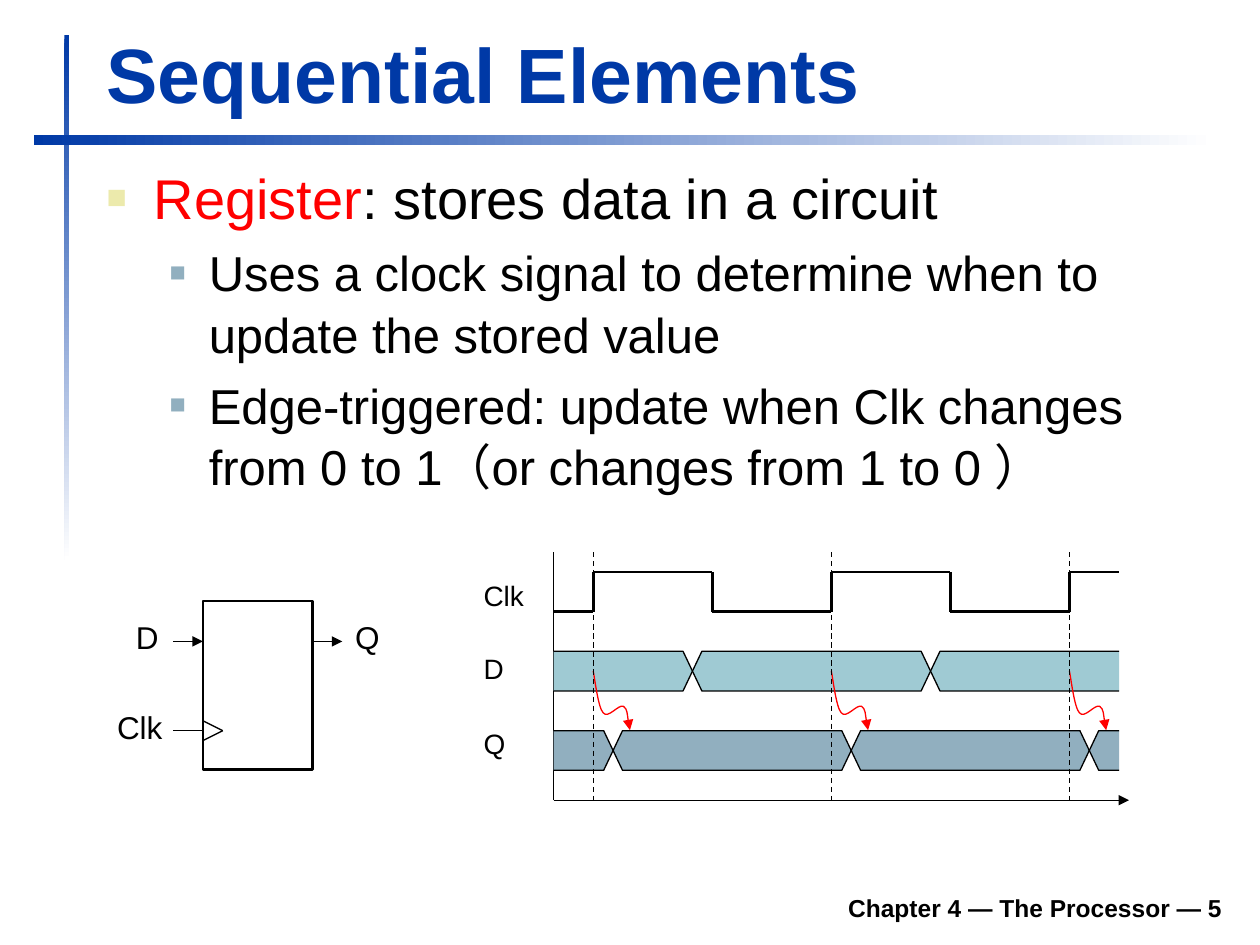
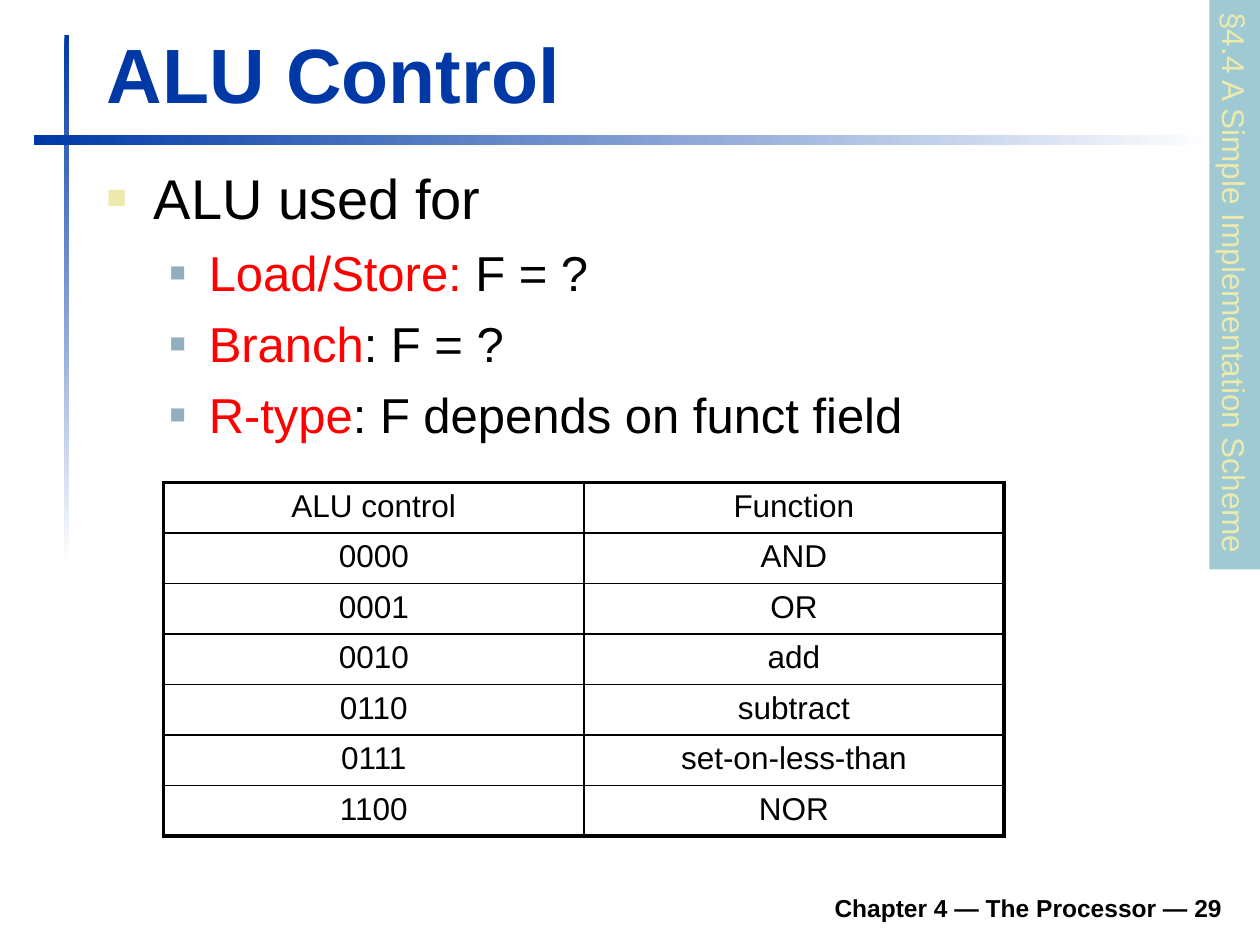
from dataclasses import dataclass
from typing import NamedTuple, Optional

from lxml import etree
from pptx import Presentation
from pptx import util as u
from pptx.dml.color import RGBColor
from pptx.enum import dml, shapes, text
from pptx.oxml import ns

Cm = u.Cm
Point = tuple[float, float]


@dataclass(frozen=True)
class Theme:
    font: str = "Arial"
    blue: str = "0039A6"
    white: str = "FFFFFF"
    black: str = "000000"
    red: str = "FF0000"
    sand: str = "ECEAAC"
    steel: str = "91AFBF"
    aqua: str = "9FCAD3"
    title: int = 44
    bullets: tuple = (32, 28)
    label: int = 18
    small: int = 16
    footer: int = 14
    thin: float = 0.75
    medium: float = 1
    thick: float = 1.5
    frame: float = 2.25


THEME = Theme()


class Box(NamedTuple):
    left: float
    top: float
    width: float
    height: float

    def emu(self) -> list:
        return [Cm(v) for v in self]


class Bullet(NamedTuple):
    level: int
    red: str
    black: str


class Level(NamedTuple):
    margin: float
    hanging: float
    color: str
    percent: int


class Label(NamedTuple):
    word: str
    box: Box
    size: int


LEVELS = (Level(0.95, 0.95, THEME.sand, 60), Level(2.06, 0.79, THEME.steel, 55))


# Drawing helpers
def rgb(color: str) -> RGBColor:
    return RGBColor.from_string(color)


def add_xml(parent, tag: str, **attributes):
    return etree.SubElement(parent, ns.qn(tag), attributes)


def style_font(font, size: int, color: str = THEME.black, bold: bool = False) -> None:
    font.name, font.size, font.bold = THEME.font, u.Pt(size), bold
    font.color.rgb = rgb(color)


def write(frame, words: str, size: int, color: str = THEME.black, bold: bool = False,
          wrap: bool = True, align=None) -> None:
    frame.text = words
    frame.word_wrap = wrap
    paragraph = frame.paragraphs[0]
    paragraph.alignment = align
    style_font(paragraph.runs[0].font, size, color, bold)


def add_text(slide, box: Box, words: str, size: int, anchor=text.MSO_ANCHOR.TOP, **style) -> None:
    frame = slide.shapes.add_textbox(*box.emu()).text_frame
    frame.vertical_anchor = anchor
    write(frame, words, size, **style)


def add_rect(slide, box: Box):
    rect = slide.shapes.add_shape(shapes.MSO_SHAPE.RECTANGLE, *box.emu())
    rect.shadow.inherit = False
    rect.line.fill.background()
    return rect


def set_line(line, width: float, color: str = THEME.black, arrow: bool = False) -> None:
    line.width = u.Pt(width)
    line.color.rgb = rgb(color)
    if arrow:
        add_xml(line._get_or_add_ln(), "a:tailEnd", type="triangle")


def add_line(slide, start: Point, end: Point, width: float = THEME.thin,
             arrow: bool = False, dashed: bool = False) -> None:
    connector = slide.shapes.add_connector(
        shapes.MSO_CONNECTOR.STRAIGHT, *(Cm(v) for v in (*start, *end)))
    if dashed:
        connector.line.dash_style = dml.MSO_LINE.DASH
    set_line(connector.line, width, arrow=arrow)
    add_xml(connector._element.spPr, "a:effectLst")


def add_outline(slide, points: list[Point], closed: bool = False, fill: Optional[str] = None):
    corners = [(Cm(x), Cm(y)) for x, y in points]
    builder = slide.shapes.build_freeform(*corners[0])
    builder.add_line_segments(corners[1:], close=closed)
    outline = builder.convert_to_shape()
    outline.shadow.inherit = False
    if fill:
        outline.fill.solid()
        outline.fill.fore_color.rgb = rgb(fill)
    else:
        outline.fill.background()
    return outline


# Shared slide parts
def add_gradient_band(slide, box: Box, angle: int) -> None:
    fill = add_rect(slide, box).fill
    fill.gradient()
    fill.gradient_angle = angle
    for stop, color in zip(fill.gradient_stops, (THEME.blue, THEME.white)):
        stop.color.rgb = rgb(color)


def add_bullets(slide, bullets: list[Bullet], height: float) -> None:
    frame = slide.shapes.add_textbox(*Box(1.9, 3.12, 22.99, height).emu()).text_frame
    frame.word_wrap = True
    for index, bullet in enumerate(bullets):
        paragraph = frame.add_paragraph() if index else frame.paragraphs[0]
        level, size = LEVELS[bullet.level], THEME.bullets[bullet.level]
        paragraph.level = bullet.level
        props = paragraph._p.get_or_add_pPr()
        props.set("marL", str(Cm(level.margin)))
        props.set("indent", str(-Cm(level.hanging)))
        add_xml(add_xml(props, "a:buClr"), "a:srgbClr", val=level.color)
        add_xml(props, "a:buSzPct", val=str(level.percent * 1000))
        add_xml(props, "a:buFont", typeface=THEME.font)
        add_xml(props, "a:buChar", char="■")
        paragraph.line_spacing = 1.04
        if index:
            paragraph.space_before = u.Pt(0.2 * size)
        for words, color in ((bullet.red, THEME.red), (bullet.black, THEME.black)):
            if words:
                run = paragraph.add_run()
                run.text = words
                style_font(run.font, size, color)


def add_slide(deck, title: str, number: int, bullets: list[Bullet], height: float):
    slide = deck.slides.add_slide(deck.slide_layouts[6])
    add_gradient_band(slide, Box(1.3, 0.71, 0.09, 10.59), 270)
    add_gradient_band(slide, Box(0.69, 2.72, 23.8, 0.2), 0)
    add_text(slide, Box(1.9, 0.41, 22.94, 2.11), title, THEME.title,
             text.MSO_ANCHOR.BOTTOM, color=THEME.blue, bold=True)
    add_bullets(slide, bullets, height)
    add_text(slide, Box(4.7, 17.73, 20.19, 0.99), f"Chapter 4 — The Processor — {number}",
             THEME.footer, text.MSO_ANCHOR.BOTTOM, bold=True, align=text.PP_ALIGN.RIGHT)
    return slide


def add_labels(slide, labels: list[Label]) -> None:
    for label in labels:
        add_text(slide, label.box, label.word, label.size, wrap=False)


# Register symbol
def draw_register(slide) -> None:
    left, right, data, clock = 4.09, 6.3, 12.93, 14.73
    body = add_rect(slide, Box(left, 12.12, right - left, 3.4))
    body.fill.background()
    set_line(body.line, THEME.thick)
    for start in (left - 0.6, right):
        add_line(slide, (start, data), (start + 0.6, data), THEME.medium, arrow=True)
    add_line(slide, (left - 0.6, clock), (left, clock))
    for offset in (-0.2, 0.2):
        add_line(slide, (left, clock + offset), (left + 0.4, clock))
    add_labels(slide, [Label("D", Box(2.49, 12.34, 0.97, 1.02), THEME.label),
                       Label("Clk", Box(2.11, 14.15, 1.42, 1.02), THEME.label),
                       Label("Q", Box(6.91, 12.34, 1.02, 1.02), THEME.label)])


# Timing diagram
START, END, TOP, AXIS = 11.16, 22.56, 11.13, 16.13
PERIOD, HALF, PULSE = 4.8, 2.4, 0.8
EDGES = [START + PULSE + PERIOD * n for n in range(3)]
D_TOP, Q_TOP = 13.13, 14.73
CURVE = [(0, 0), (0.03, 0.15), (0.1, 0.74), (0.2, 0.84), (0.3, 0.97), (0.51, 0.66),
         (0.61, 0.71), (0.69, 0.76), (0.71, 1.09), (0.74, 1.19)]


def draw_clock(slide) -> None:
    high, low = TOP + 0.4, TOP + 1.2
    wave = [(START, low)]
    for edge in EDGES:
        fall = min(edge + HALF, END)
        wave += [(edge, low), (edge, high), (fall, high)]
        if fall < END:
            wave.append((fall, low))
    for start, end in zip(wave, wave[1:]):
        add_line(slide, start, end, THEME.thick)


def draw_signal(slide, top: float, crossings: list[float], color: str) -> None:
    middle, bottom, slope = top + PULSE / 2, top + PULSE, 0.19
    stops = [START, *crossings, END]
    for left, right in zip(stops, stops[1:]):
        opens, ends = left == START, right == END
        before = [(left + slope, bottom), (left, middle), (left + slope, top)]
        after = [(right - slope, top), (right, middle), (right - slope, bottom)]
        if opens:
            points = [(left, top), *after, (left, bottom)]
        elif ends:
            points = [(right, bottom), *before, (right, top)]
        else:
            points = before + after
        value = add_outline(slide, points, closed=not (opens or ends), fill=color)
        set_line(value.line, THEME.thin)


def draw_update_arrow(slide, edge: float) -> None:
    arrow = add_outline(slide, [(edge + x, D_TOP + PULSE / 2 + y) for x, y in CURVE])
    set_line(arrow.line, THEME.thin, THEME.red, arrow=True)
    # Every three straight segments become one Bézier segment
    segments = arrow._element.findall(".//" + ns.qn("a:lnTo"))
    for first in range(0, len(segments), 3):
        bezier = add_xml(segments[first].getparent(), "a:cubicBezTo")
        for segment in segments[first:first + 3]:
            bezier.append(segment[0])
            segment.getparent().remove(segment)


def draw_timing(slide) -> None:
    draw_clock(slide)
    add_line(slide, (START, AXIS), (END + 0.2, AXIS), arrow=True)
    add_line(slide, (START, AXIS), (START, TOP))
    add_labels(slide, [Label("Clk", Box(9.5, 11.53, 1.32, 0.94), THEME.small),
                       Label("D", Box(9.5, 13, 0.91, 0.94), THEME.small),
                       Label("Q", Box(9.5, 14.53, 0.97, 0.94), THEME.small)])
    draw_signal(slide, D_TOP, [edge + 2 for edge in EDGES[:2]], THEME.aqua)
    draw_signal(slide, Q_TOP, [edge + 0.4 for edge in EDGES], THEME.steel)
    for edge in EDGES:
        draw_update_arrow(slide, edge)
        add_line(slide, (edge, TOP), (edge, AXIS), dashed=True)


# ALU control slide parts
def draw_section_tab(slide) -> None:
    tab = add_rect(slide, Box(19.15, 5.23, 11.48, 1.02))
    tab.rotation = 90
    tab.fill.solid()
    tab.fill.fore_color.rgb = rgb(THEME.aqua)
    write(tab.text_frame, "§4.4 A Simple Implementation Scheme", THEME.label, THEME.sand,
          wrap=False, align=text.PP_ALIGN.LEFT)


def set_border(cell, side: str, width: float) -> None:
    border = add_xml(cell._tc.get_or_add_tcPr(), f"a:{side}", w=str(u.Pt(width)))
    add_xml(add_xml(border, "a:solidFill"), "a:srgbClr", val=THEME.black)


def draw_function_table(slide, rows: list[tuple[str, str]]) -> None:
    table = slide.shapes.add_table(len(rows), 2, *Box(3.3, 9.73, 16.94, 7.11).emu()).table
    table.first_row = table.horz_banding = False
    last = len(rows) - 1
    for r, row in enumerate(rows):
        for c, words in enumerate(row):
            cell = table.cell(r, c)
            write(cell.text_frame, words, THEME.label, align=text.PP_ALIGN.CENTER)
            top = {0: THEME.frame, 1: THEME.thick}.get(r, THEME.medium)
            bottom = {0: THEME.thick, last: THEME.frame}.get(r, THEME.medium)
            set_border(cell, "lnL", THEME.medium if c else THEME.frame)
            set_border(cell, "lnR", THEME.frame if c else THEME.medium)
            set_border(cell, "lnT", top)
            set_border(cell, "lnB", bottom)
            cell.fill.background()


def main() -> None:
    deck = Presentation()
    deck.slide_width, deck.slide_height = Cm(25.4), Cm(19.05)

    sequential = add_slide(deck, "Sequential Elements", 5, [
        Bullet(0, "Register", ": stores data in a circuit"),
        Bullet(1, "", "Uses a clock signal to determine when to update the stored value"),
        Bullet(1, "", "Edge-triggered: update when Clk changes from 0 to 1"
                      "（or changes from 1 to 0 ）")], 7.67)
    draw_register(sequential)
    draw_timing(sequential)

    alu = add_slide(deck, "ALU Control", 29, [
        Bullet(0, "", "ALU used for"),
        Bullet(1, "Load/Store:", " F = ?"),
        Bullet(1, "Branch", ": F = ?"),
        Bullet(1, "R-type", ": F depends on funct field")], 6.6)
    draw_section_tab(alu)
    draw_function_table(alu, [
        ("ALU control", "Function"), ("0000", "AND"), ("0001", "OR"), ("0010", "add"),
        ("0110", "subtract"), ("0111", "set-on-less-than"), ("1100", "NOR")])

    deck.save("out.pptx")


if __name__ == "__main__":
    main()
